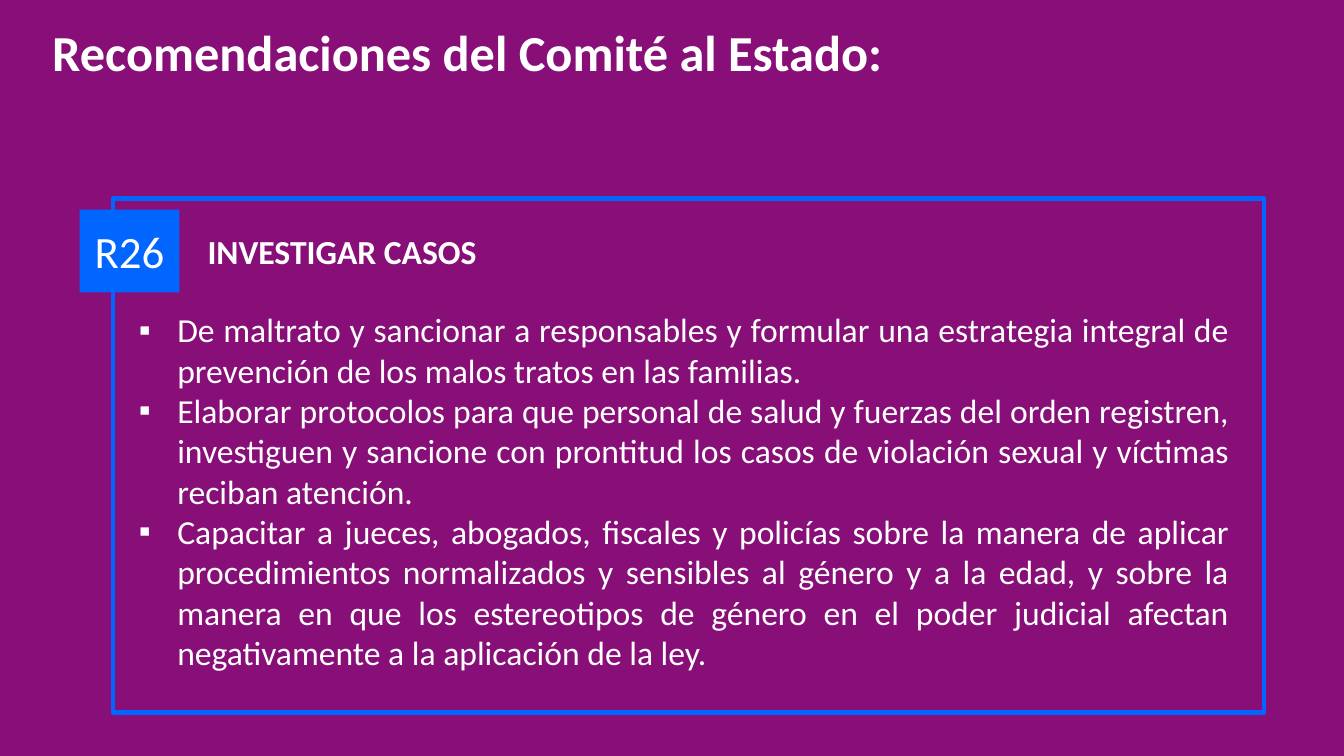
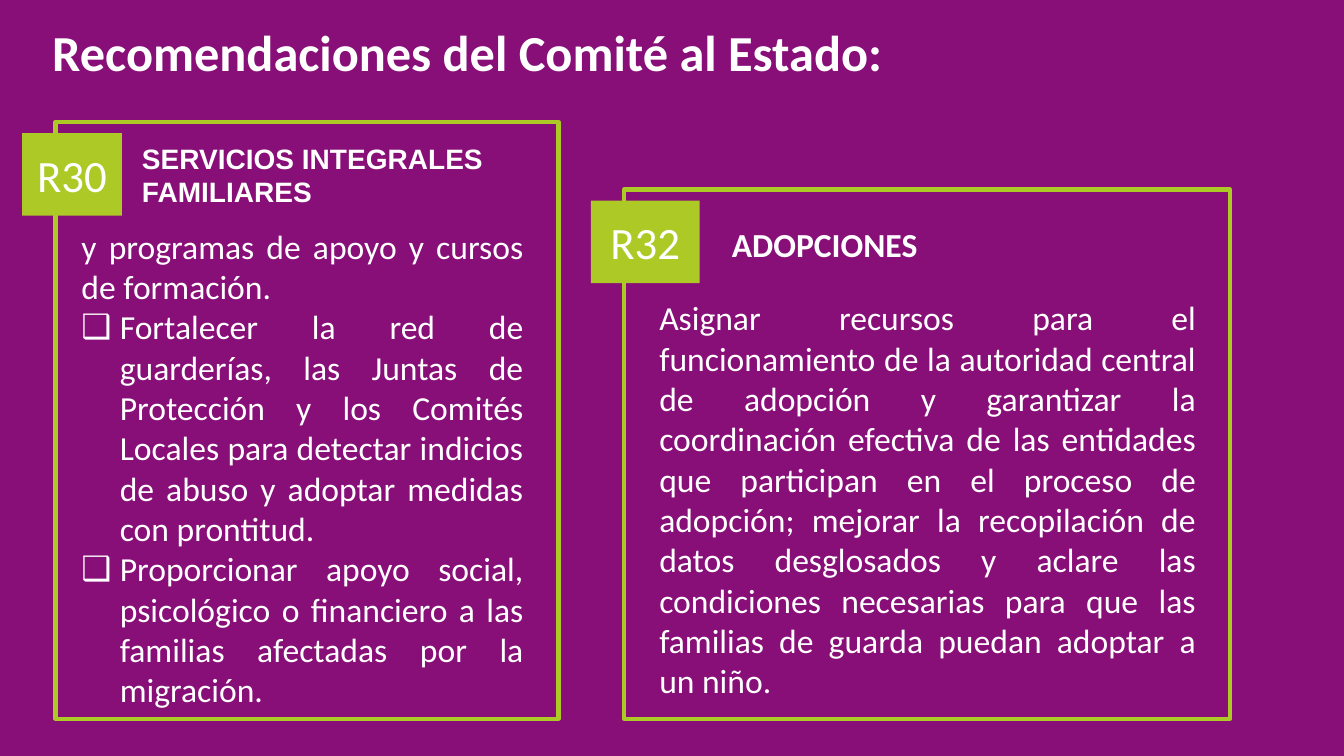
from typing import NamedTuple

from lxml import etree
from pptx import Presentation
from pptx.dml.color import RGBColor
from pptx.enum import shapes, text
from pptx.oxml import ns
from pptx.util import Inches, Pt

COLORS = {"background": "880E78", "blue": "0066FF", "green": "ACC926", "white": "FFFFFF"}
TITLE = "Recomendaciones del Comité al Estado:"
BULLET_INDENT = Inches(0.38)
BADGE_OFFSET = (-0.33, 0.11)
BADGE_HEIGHT = 0.82


class Box(NamedTuple):
    left: float
    top: float
    width: float
    height: float

    def lengths(self) -> list[int]:
        return [Inches(value) for value in self]


class Line(NamedTuple):
    content: str
    bullet: str = ""


class Recommendation(NamedTuple):
    code: str
    heading: str
    lines: list[Line]
    color: str
    frame: Box
    heading_box: Box
    body_box: Box
    badge_width: float = 0.99
    heading_size: int = 24
    heading_font: str = "Calibri"


SLIDES = [
    [
        Recommendation(
            "R26", "INVESTIGAR CASOS",
            [
                Line("De maltrato y sancionar a responsables y formular una estrategia integral "
                     "de prevención de los malos tratos en las familias.", "▪"),
                Line("Elaborar protocolos para que personal de salud y fuerzas del orden "
                     "registren, investiguen y sancione con prontitud los casos de violación "
                     "sexual y víctimas reciban atención.", "▪"),
                Line("Capacitar a jueces, abogados, fiscales y policías sobre la manera de "
                     "aplicar procedimientos normalizados y sensibles al género y a la edad, y "
                     "sobre la manera en que los estereotipos de género en el poder judicial "
                     "afectan negativamente a la aplicación de la ley.", "▪"),
            ],
            "blue", Box(1.12, 1.97, 11.42, 5.1),
            Box(1.96, 2.24, 4.11, 0.5), Box(1.28, 3.02, 11.01, 3.74),
        ),
    ],
    [
        Recommendation(
            "R30", "SERVICIOS INTEGRALES FAMILIARES",
            [
                Line("y programas de apoyo y cursos de formación."),
                Line("Fortalecer la red de guarderías, las Juntas de Protección y los Comités "
                     "Locales para detectar indicios de abuso y adoptar medidas con prontitud.",
                     "❑"),
                Line("Proporcionar apoyo social, psicológico o financiero a las familias "
                     "afectadas por la migración.", "❑"),
            ],
            "green", Box(0.55, 1.21, 4.99, 5.92),
            Box(1.31, 1.35, 3.65, 0.77), Box(0.71, 2.19, 4.58, 4.95),
            heading_size=20, heading_font="Arial",
        ),
        Recommendation(
            "R32", "ADOPCIONES",
            [
                Line("Asignar recursos para el funcionamiento de la autoridad central de "
                     "adopción y garantizar la coordinación efectiva de las entidades que "
                     "participan en el proceso de adopción; mejorar la recopilación de datos "
                     "desglosados y aclare las condiciones necesarias para que las familias de "
                     "guarda puedan adoptar a un niño."),
            ],
            "green", Box(6.19, 1.88, 6.01, 5.25),
            Box(7.16, 2.17, 2.84, 0.5), Box(6.44, 2.9, 5.52, 4.14),
            badge_width=1.08,
        ),
    ],
]


def rgb(name: str) -> RGBColor:
    return RGBColor.from_string(COLORS[name])


def add_bullet(paragraph, character: str) -> None:
    properties = paragraph._p.get_or_add_pPr()
    properties.set("marL", str(BULLET_INDENT))
    properties.set("indent", str(-BULLET_INDENT))
    etree.SubElement(properties, ns.qn("a:buFont")).set("typeface", "Arial")
    etree.SubElement(properties, ns.qn("a:buChar")).set("char", character)


def write(frame, lines: list[Line], *, size: int = 24, font: str = "Calibri",
          bold: bool = False, align=text.PP_ALIGN.LEFT, anchor=text.MSO_ANCHOR.TOP,
          wrap: bool = True) -> None:
    frame.word_wrap = wrap
    frame.vertical_anchor = anchor
    for index, line in enumerate(lines):
        paragraph = frame.add_paragraph() if index else frame.paragraphs[0]
        paragraph.alignment = align
        if line.bullet:
            add_bullet(paragraph, line.bullet)
        run = paragraph.add_run()
        run.text = line.content
        run.font.size = Pt(size)
        run.font.name = font
        run.font.bold = bold
        run.font.color.rgb = rgb("white")


def add_text(slide, box: Box, lines: list[Line], **style) -> None:
    frame = slide.shapes.add_textbox(*box.lengths()).text_frame
    frame.auto_size = text.MSO_AUTO_SIZE.SHAPE_TO_FIT_TEXT
    write(frame, lines, **style)


def add_rectangle(slide, box: Box, *, fill: str = "", line: str = ""):
    rectangle = slide.shapes.add_shape(shapes.MSO_SHAPE.RECTANGLE, *box.lengths())
    rectangle.shadow.inherit = False
    if fill:
        rectangle.fill.solid()
        rectangle.fill.fore_color.rgb = rgb(fill)
    else:
        rectangle.fill.background()
    if line:
        rectangle.line.color.rgb = rgb(line)
        rectangle.line.width = Pt(3)
    else:
        rectangle.line.fill.background()
    return rectangle


def add_recommendation(slide, item: Recommendation) -> None:
    """Draw the frame, the code badge overlapping its left edge, heading and body."""
    add_rectangle(slide, item.frame, line=item.color)
    across, down = BADGE_OFFSET
    badge_box = Box(item.frame.left + across, item.frame.top + down,
                    item.badge_width, BADGE_HEIGHT)
    badge = add_rectangle(slide, badge_box, fill=item.color)
    write(badge.text_frame, [Line(item.code)], size=32,
          align=text.PP_ALIGN.CENTER, anchor=text.MSO_ANCHOR.MIDDLE)
    add_text(slide, item.heading_box, [Line(item.heading)], size=item.heading_size,
             font=item.heading_font, bold=True, anchor=text.MSO_ANCHOR.MIDDLE)
    add_text(slide, item.body_box, item.lines, align=text.PP_ALIGN.JUSTIFY)


def add_slide(deck, recommendations: list[Recommendation]) -> None:
    slide = deck.slides.add_slide(deck.slide_layouts[6])
    slide.background.fill.solid()
    slide.background.fill.fore_color.rgb = rgb("background")
    add_text(slide, Box(0.42, 0.16, 8.53, 0.71), [Line(TITLE)], size=36, bold=True, wrap=False)
    for item in recommendations:
        add_recommendation(slide, item)


def main() -> None:
    deck = Presentation()
    deck.slide_width, deck.slide_height = Inches(13.33), Inches(7.5)
    for recommendations in SLIDES:
        add_slide(deck, recommendations)
    deck.save("out.pptx")


if __name__ == "__main__":
    main()
